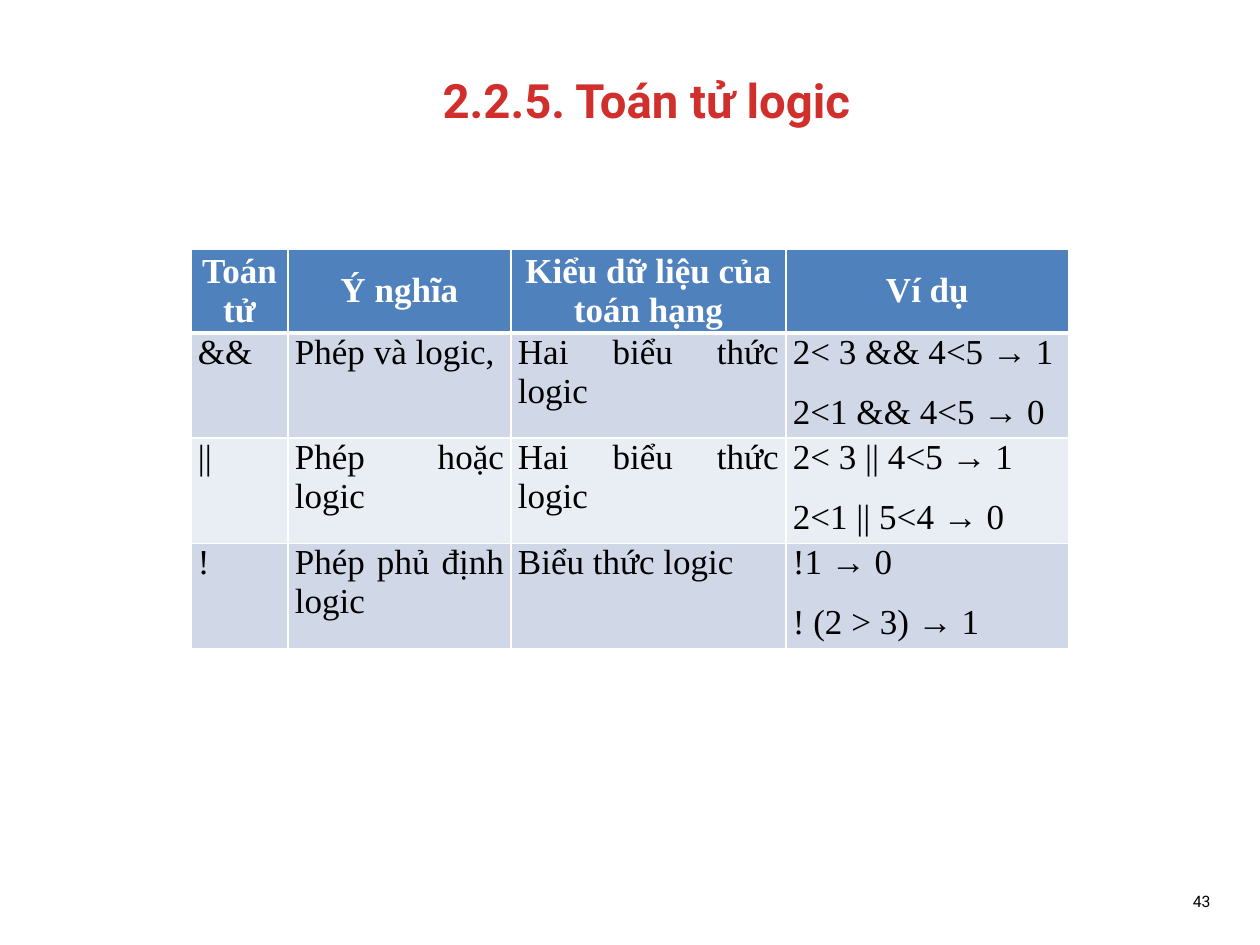
from lxml.etree import SubElement
from pptx import Presentation
from pptx.dml.color import RGBColor
from pptx.enum.text import MSO_ANCHOR, PP_ALIGN
from pptx.oxml.ns import qn
from pptx.util import Emu, Pt

PX = 914400 // 126
COL_WIDTHS = [97, 223, 275, 283]
ROW_HEIGHTS = [82, 98, 98, 98]
ROWS = [
    ["Toán tử", "Ý nghĩa", "Kiểu dữ liệu của toán hạng", "Ví dụ"],
    ["&&", "Phép và logic,", "Hai biểu thức logic", "2< 3 && 4<5 → 1\n2<1 && 4<5 → 0"],
    ["||", "Phép hoặc logic", "Hai biểu thức logic", "2< 3 || 4<5 → 1\n2<1 || 5<4 → 0"],
    ["!", "Phép phủ định logic", "Biểu thức logic", "!1 → 0\n! (2 > 3) → 1"],
]
TITLE = {"name": "Roboto", "size": Pt(27), "bold": True}
NUMBER = {"name": "Roboto", "size": Pt(9), "bold": False}
HEADER = {"name": "Times New Roman", "size": Pt(20), "bold": True}
BODY = {**HEADER, "bold": False}


def px(n):
    """Turn pixels into EMU."""
    return Emu(n * PX)


def rgb(value):
    """Turn a hex string into a colour."""
    return RGBColor.from_string(value)


def set_attrs(obj, values):
    """Set each attribute of an object from a dict."""
    for name, value in values.items():
        setattr(obj, name, value)


def write(tf, text, font, color, align):
    """Write each line of the text as a spaced paragraph."""
    for i, line in enumerate(text.split("\n")):
        p = tf.add_paragraph() if i else tf.paragraphs[0]
        set_attrs(p, {"alignment": align, "space_before": Pt(6 if i else 0), "space_after": Pt(6)})
        r = p.add_run()
        r.text = line
        set_attrs(r.font, font)
        r.font.color.rgb = rgb(color)


def add_text(s, box, text, font, color, align):
    """Add a wrapped text box anchored in the middle."""
    tf = s.shapes.add_textbox(*map(px, box)).text_frame
    set_attrs(tf, {"word_wrap": True, "vertical_anchor": MSO_ANCHOR.MIDDLE})
    write(tf, text, font, color, align)
    tf.paragraphs[0].space_after = Pt(0)


def set_borders(cell, bottom):
    """Draw white borders with the given bottom width in points."""
    tc_pr = cell._tc.get_or_add_tcPr()
    for i, (side, width) in enumerate({"L": 1, "R": 1, "T": 1, "B": bottom}.items()):
        ln = SubElement(tc_pr, qn(f"a:ln{side}"), w=str(Pt(width)))
        fill = SubElement(ln, qn("a:solidFill"))
        SubElement(fill, qn("a:srgbClr"), val="FFFFFF")
        tc_pr.insert(i, ln)


def style_cell(cell, text, row):
    """Fill, border and write one cell by its row."""
    header = row == 0
    set_attrs(cell, {
        "margin_left": px(7), "margin_right": px(7), "margin_top": 0, "margin_bottom": 0,
        "vertical_anchor": MSO_ANCHOR.MIDDLE if header else MSO_ANCHOR.TOP,
    })
    cell.fill.solid()
    cell.fill.fore_color.rgb = rgb("4F81BD" if header else "D0D8E8" if row % 2 else "E9EDF4")
    set_borders(cell, 3 if header or row == 0 else 1)
    if header:
        write(cell.text_frame, text, HEADER, "FFFFFF", PP_ALIGN.CENTER)
    else:
        write(cell.text_frame, text, BODY, "000000", PP_ALIGN.JUSTIFY)
        if row == 1:
            cell._tc.tcPr.find(qn("a:lnT")).set("w", str(Pt(3)))


def add_operator_table(s, left, top):
    """Add the table of logical operators."""
    box = (left, top, sum(COL_WIDTHS), sum(ROW_HEIGHTS))
    table = s.shapes.add_table(len(ROWS), len(COL_WIDTHS), *map(px, box)).table
    for col, width in zip(table.columns, COL_WIDTHS):
        col.width = px(width)
    for i, (row, height) in enumerate(zip(table.rows, ROW_HEIGHTS)):
        row.height = px(height)
        for cell, text in zip(row.cells, ROWS[i]):
            style_cell(cell, text, i)


def main():
    """Build and save the slide."""
    prs = Presentation()
    set_attrs(prs, {"slide_width": px(1260), "slide_height": px(945)})
    s = prs.slides.add_slide(prs.slide_layouts[6])
    add_text(s, (53, 21, 1187, 158), "2.2.5. Toán tử logic", TITLE, "D02F2C", PP_ALIGN.CENTER)
    add_operator_table(s, 191, 249)
    add_text(s, (1150, 876, 73, 50), "43", NUMBER, "000000", PP_ALIGN.RIGHT)
    prs.save("out.pptx")


if __name__ == "__main__":
    main()
